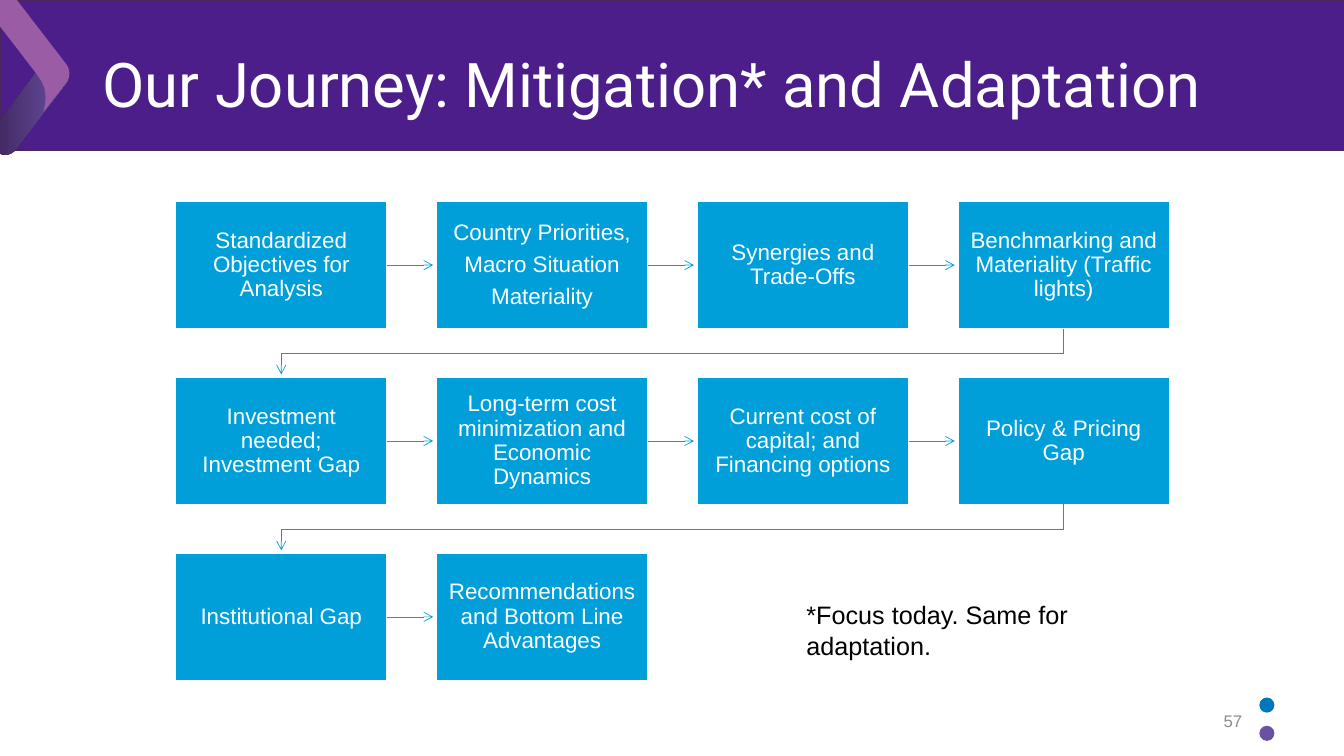
from dataclasses import dataclass

from lxml.etree import SubElement
from pptx import Presentation
from pptx.dml.color import RGBColor
from pptx.enum.shapes import MSO_CONNECTOR, MSO_SHAPE
from pptx.enum.text import MSO_ANCHOR, PP_ALIGN
from pptx.oxml.ns import qn
from pptx.util import Inches, Pt


@dataclass(frozen=True)
class Theme:
    header: str = "4C1E89"
    header_line: str = "49275B"
    ribbon: str = "995CA5"
    fold_dark: str = "3D245B"
    violet: str = "6A51A2"
    dot_blue: str = "0076BC"
    step: str = "009FDA"
    white: str = "FFFFFF"
    black: str = "000000"
    grey: str = "8C8C8C"
    title_font: str = "Roboto"
    body_font: str = "Arial"
    title_size: int = 44
    note_size: int = 18
    step_size: int = 16
    number_size: int = 12


T = Theme()

STEPS = [
    ["Standardized Objectives for Analysis"],
    ["Country Priorities,", "Macro Situation", "Materiality"],
    ["Synergies and Trade-Offs"],
    ["Benchmarking and Materiality (Traffic lights)"],
    ["Investment needed; Investment Gap"],
    ["Long-term cost minimization and Economic Dynamics"],
    ["Current cost of capital; and Financing options"],
    ["Policy & Pricing Gap"],
    ["Institutional Gap"],
    ["Recommendations and Bottom Line Advantages"],
]
COLUMNS = 4
LEFT, TOP = 1.74, 2
STEP_W, STEP_H = 2.1, 1.26
PITCH_X = (9.5 - LEFT) / 3
PITCH_Y = (5.49 - TOP) / 2
HEAD_GAP = 0.03

# Each entry is a point, or a cubic curve given by two controls and an end.
FOLD = [
    (0.15, 1.49), (0.66, 0.82), (0.7, 0.77, 0.69, 0.69, 0.63, 0.65),
    (0.6, 0.62), (0.55, 0.58, 0.47, 0.59, 0.42, 0.64), (-0.09, 1.31),
    (-0.13, 1.36, -0.12, 1.44, -0.06, 1.49), (-0.03, 1.51),
    (0.03, 1.55, 0.11, 1.54, 0.15, 1.49),
]
RIBBON = [
    (0.36, 0.73), (-0.07, 0.17), (-0.12, 0.1, -0.11, 0.01, -0.05, -0.04),
    (0.02, -0.09, 0.11, -0.07, 0.16, -0.01), (0.66, 0.64),
    (0.69, 0.68, 0.7, 0.75, 0.67, 0.8), (0.66, 0.82, 0.43, 1.11, 0.43, 1.11),
    (0.43, 1.11, 0.46, 1.02, 0.45, 0.93), (0.45, 0.84, 0.36, 0.73, 0.36, 0.73),
]


def rgb(color):
    return RGBColor.from_string(color)


def flatten(outline, parts=8):
    """Turn an outline with cubic curves into a list of points."""
    points = []
    for entry in outline:
        if len(entry) == 2:
            points.append(entry)
            continue
        start, controls = points[-1], list(zip(entry[::2], entry[1::2]))
        for i in range(1, parts + 1):
            t = i / parts
            weights = ((1 - t) ** 3, 3 * t * (1 - t) ** 2, 3 * t * t * (1 - t), t ** 3)
            curve = [start, *controls]
            points.append(tuple(sum(w * c[axis] for w, c in zip(weights, curve))
                                for axis in (0, 1)))
    return points


def add_path(s, points, close):
    start, *rest = [(Inches(x), Inches(y)) for x, y in points]
    builder = s.shapes.build_freeform(*start)
    builder.add_line_segments(rest, close=close)
    return builder.convert_to_shape()


def add_ribbon(s, outline, color, end_color=None):
    sp = add_path(s, flatten(outline), True)
    sp.shadow.inherit = False
    sp.line.fill.background()
    if end_color:
        sp.fill.gradient()
        sp.fill.gradient_angle = 0
        for stop, stop_color in zip(sp.fill.gradient_stops, (color, end_color)):
            stop.color.rgb = rgb(stop_color)
    else:
        sp.fill.solid()
        sp.fill.fore_color.rgb = rgb(color)


def add_block(s, kind, x, y, w, h, color, line=None):
    sp = s.shapes.add_shape(kind, Inches(x), Inches(y), Inches(w), Inches(h))
    sp.shadow.inherit = False
    sp.fill.solid()
    sp.fill.fore_color.rgb = rgb(color)
    if line:
        sp.line.color.rgb = rgb(line)
        sp.line.width = Pt(1)
    else:
        sp.line.fill.background()
    return sp


def style_paragraph(p, size, color, font=T.body_font, align=PP_ALIGN.LEFT):
    p.alignment = align
    p.font.size = Pt(size)
    p.font.name = font
    p.font.color.rgb = rgb(color)


def add_label(s, text, x, y, w, h, size, color, anchor=MSO_ANCHOR.MIDDLE, **style):
    tf = s.shapes.add_textbox(Inches(x), Inches(y), Inches(w), Inches(h)).text_frame
    tf.word_wrap = True
    tf.vertical_anchor = anchor
    p = tf.paragraphs[0]
    p.text = text
    style_paragraph(p, size, color, **style)
    return p


def add_step(s, index, lines):
    row, col = divmod(index, COLUMNS)
    sp = add_block(s, MSO_SHAPE.RECTANGLE, LEFT + col * PITCH_X, TOP + row * PITCH_Y,
                   STEP_W, STEP_H, T.step, T.white)
    tf = sp.text_frame
    tf.word_wrap = True
    tf.vertical_anchor = MSO_ANCHOR.MIDDLE
    tf.margin_left = tf.margin_right = tf.margin_top = tf.margin_bottom = Inches(0.12)
    for i, line in enumerate(lines):
        p = tf.add_paragraph() if i else tf.paragraphs[0]
        p.text = line
        p.line_spacing = 0.9
        p.space_after = Pt(5.6)
        style_paragraph(p, T.step_size, T.white, align=PP_ALIGN.CENTER)
    return sp


def style_arrow(sp):
    sp.line.color.rgb = rgb(T.step)
    sp.line.width = Pt(0.5)
    props = sp._element.spPr
    SubElement(props.find(qn("a:ln")), qn("a:tailEnd"), type="arrow")
    SubElement(props, qn("a:effectLst"))


def add_arrow(s, source, target):
    y = source.top + source.height // 2
    arrow = s.shapes.add_connector(MSO_CONNECTOR.STRAIGHT, source.left + source.width, y,
                                   target.left - Inches(HEAD_GAP), y)
    arrow.begin_connect(source, 3)
    style_arrow(arrow)


def add_row_turn(s, row):
    """Lead from the last step of a row to the first step of the next."""
    first_x = LEFT + STEP_W / 2
    last_x = first_x + (COLUMNS - 1) * PITCH_X
    bottom, next_top = TOP + row * PITCH_Y + STEP_H, TOP + (row + 1) * PITCH_Y
    middle = (bottom + next_top) / 2
    turn = add_path(s, [(last_x, bottom), (last_x, middle), (first_x, middle),
                        (first_x, next_top - HEAD_GAP)], False)
    turn.fill.background()
    style_arrow(turn)


def add_flow(s):
    steps = [add_step(s, i, lines) for i, lines in enumerate(STEPS)]
    for i, (source, target) in enumerate(zip(steps, steps[1:])):
        row, col = divmod(i, COLUMNS)
        if col == COLUMNS - 1:
            add_row_turn(s, row)
        else:
            add_arrow(s, source, target)


def main():
    prs = Presentation()
    prs.slide_width, prs.slide_height = Inches(13.33), Inches(7.5)
    s = prs.slides.add_slide(prs.slide_layouts[6])
    add_block(s, MSO_SHAPE.RECTANGLE, 0, 0, 13.33, 1.49, T.header, T.header_line)
    add_ribbon(s, FOLD, T.fold_dark, T.violet)
    add_ribbon(s, RIBBON, T.ribbon)
    for y, color in ((6.92, T.dot_blue), (7.2, T.violet)):
        add_block(s, MSO_SHAPE.OVAL, 12.49, y, 0.15, 0.15, color)
    title = add_label(s, "Our Journey: Mitigation* and Adaptation", 0.92, 0.24, 11.5, 1.25,
                      T.title_size, T.white, font=T.title_font)
    title.line_spacing = 0.9
    add_flow(s)
    add_label(s, "57", 9.42, 6.95, 3, 0.4, T.number_size, T.grey, align=PP_ALIGN.RIGHT)
    add_label(s, "*Focus today. Same for adaptation.", 7.9, 5.9, 3.76, 0.71,
              T.note_size, T.black, anchor=MSO_ANCHOR.TOP)
    prs.save("out.pptx")


if __name__ == "__main__":
    main()
